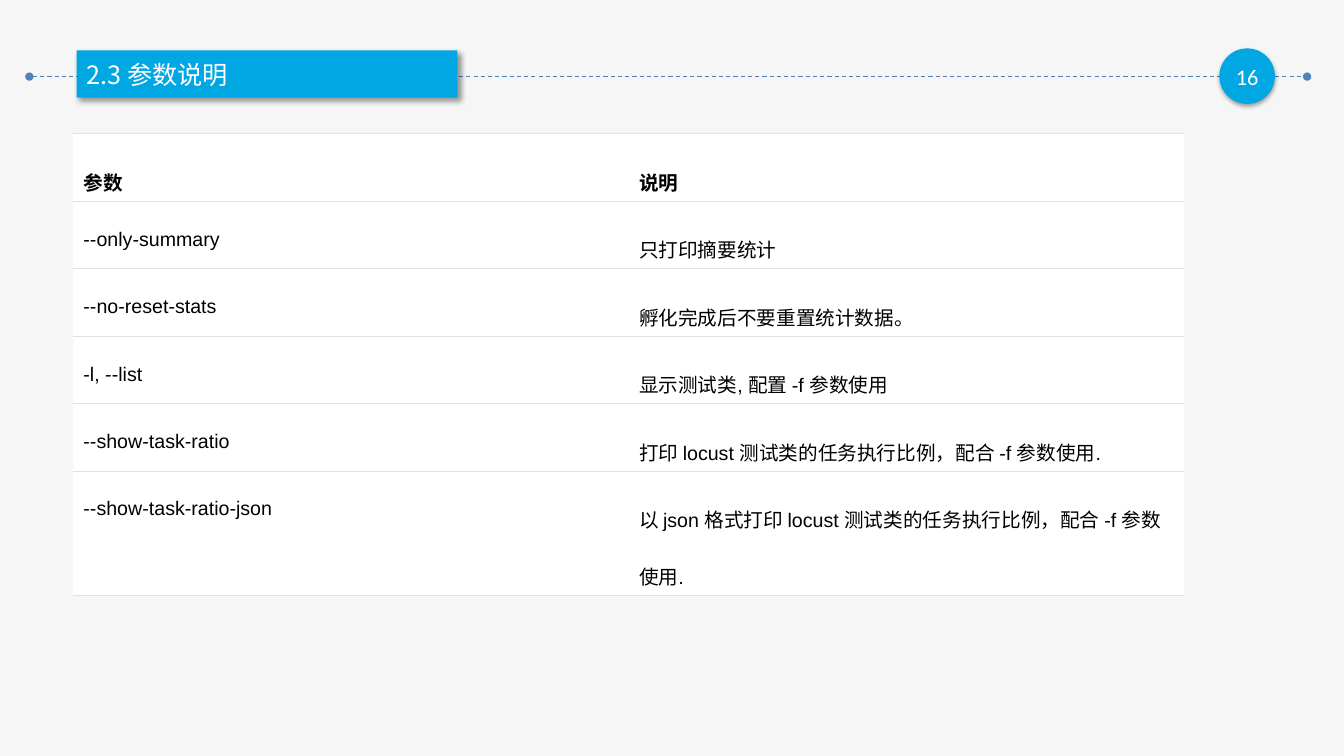
from lxml.etree import SubElement, fromstring
from pptx import Presentation
from pptx.dml.color import RGBColor
from pptx.enum.dml import MSO_LINE as Dash
from pptx.enum.shapes import MSO_CONNECTOR as Link, MSO_SHAPE as Preset
from pptx.enum.text import MSO_ANCHOR as Anchor, MSO_AUTO_SIZE as Fit, PP_ALIGN as Align
from pptx.oxml.ns import nsdecls, qn
from pptx.util import Cm, Pt

PARAMETERS = [
    ("参数", "说明"),
    ("--only-summary", "只打印摘要统计"),
    ("--no-reset-stats", "孵化完成后不要重置统计数据。"),
    ("-l, --list", "显示测试类, 配置 -f 参数使用"),
    ("--show-task-ratio", "打印 locust 测试类的任务执行比例，配合 -f 参数使用."),
    ("--show-task-ratio-json", "以 json 格式打印 locust 测试类的任务执行比例，配合 -f 参数使用."),
]


def rgb(code):
    return RGBColor.from_string(code)


def set_all(target, values):
    for key, value in values.items():
        setattr(target, key, value)


class SlideBuilder:
    """Draws styled elements on the current slide."""

    accent, rule, border = "00A7E2", "4F81BD", "DEE2E6"
    paper, white, ink = "F6F6F6", "FFFFFF", "000000"
    han = "Noto Sans CJK SC"

    def __init__(self, deck):
        self.slide = deck.slides.add_slide(deck.slide_layouts[5])
        background = self.slide.background.fill
        background.solid()
        background.fore_color.rgb = rgb(self.paper)

    def add_text(self, frame, text, font, size, color, align=Align.LEFT, spacing=1.0, bold=False):
        paragraph = frame.paragraphs[0]
        set_all(paragraph, {"alignment": align, "line_spacing": spacing})
        run = paragraph.add_run()
        run.text = text
        set_all(run.font, {"name": font, "size": Pt(size), "bold": bold})
        run.font.color.rgb = rgb(color)
        SubElement(run.font._element, qn("a:ea"), typeface=self.han)

    def paint(self, shape, alpha, blur, distance, angle):
        shape.fill.solid()
        shape.fill.fore_color.rgb = rgb(self.accent)
        shape.line.fill.background()
        shape.shadow.inherit = False
        effects = shape.element.spPr.find(qn("a:effectLst"))
        effects.append(fromstring(
            f'<a:outerShdw {nsdecls("a")} blurRad="{Pt(blur)}" dist="{Pt(distance)}" '
            f'dir="{angle * 60000}" algn="t" rotWithShape="0"><a:srgbClr val="{self.ink}">'
            f'<a:alpha val="{alpha * 1000}"/></a:srgbClr></a:outerShdw>'))

    def dashed_rule(self, left, right, y):
        rule = self.slide.shapes.add_connector(Link.STRAIGHT, Cm(left), Cm(y), Cm(right), Cm(y))
        set_all(rule.line, {"width": Pt(0.75), "dash_style": Dash.DASH})
        rule.line.color.rgb = rgb(self.rule)
        properties = rule.element.spPr
        for end in ("a:headEnd", "a:tailEnd"):
            SubElement(properties.find(qn("a:ln")), qn(end), type="oval")
        SubElement(properties, qn("a:effectLst"))

    def page_badge(self, number, left, top, size):
        badge = self.slide.shapes.add_shape(Preset.OVAL, Cm(left), Cm(top), Cm(size), Cm(size))
        self.paint(badge, 35, 3.1, 1.8, 90)
        set_all(badge.text_frame, {
            "margin_left": Cm(0.03), "margin_right": Cm(0.03), "margin_top": 0,
            "margin_bottom": 0, "vertical_anchor": Anchor.MIDDLE})
        self.add_text(badge.text_frame, number, "Calibri", 16, self.white, Align.CENTER)

    def heading(self, text, left, top, width, height):
        title = self.slide.shapes.title
        set_all(title, {"left": Cm(left), "top": Cm(top), "width": Cm(width), "height": Cm(height)})
        self.paint(title, 40, 4, 3, 45)
        set_all(title.text_frame, {
            "auto_size": Fit.NONE, "word_wrap": True, "vertical_anchor": Anchor.MIDDLE})
        self.add_text(title.text_frame, text, self.han, 18, self.white)
        title.element.getparent().append(title.element)

    def edge_cell(self, cell):
        edges = {"lnL": None, "lnR": None, "lnT": self.border, "lnB": self.border}
        for place, (edge, color) in enumerate(edges.items()):
            fill = f'<a:solidFill><a:srgbClr val="{color}"/></a:solidFill>' if color else "<a:noFill/>"
            line = f'<a:{edge} {nsdecls("a")} w="{Pt(0.75)}">{fill}</a:{edge}>'
            cell._tc.get_or_add_tcPr().insert(place, fromstring(line))

    def parameter_table(self, records, left, top, width, heights):
        table = self.slide.shapes.add_table(
            len(records), len(records[0]), Cm(left), Cm(top), Cm(width), Cm(sum(heights))).table
        set_all(table, {"first_row": False, "horz_banding": False})
        for index, (record, height) in enumerate(zip(records, heights)):
            header = index == 0
            table.rows[index].height = Cm(height)
            for column, text in enumerate(record):
                cell = table.cell(index, column)
                cell.fill.solid()
                cell.fill.fore_color.rgb = rgb(self.white)
                cell.vertical_anchor = Anchor.BOTTOM if header else Anchor.TOP
                self.edge_cell(cell)
                self.add_text(cell.text_frame, text, "Arial", 14, self.ink, spacing=2.0, bold=header)


def main():
    deck = Presentation()
    set_all(deck, {"slide_width": Cm(33.87), "slide_height": Cm(19.05)})
    builder = SlideBuilder(deck)
    builder.dashed_rule(0.74, 32.94, 1.93)
    builder.page_badge("16", 30.73, 1.22, 1.4)
    builder.heading("2.3 参数说明", 1.93, 1.27, 9.6, 1.19)
    builder.parameter_table(PARAMETERS, 1.85, 3.37, 28, [1.7] * 5 + [3.13])
    deck.save("out.pptx")


if __name__ == "__main__":
    main()
